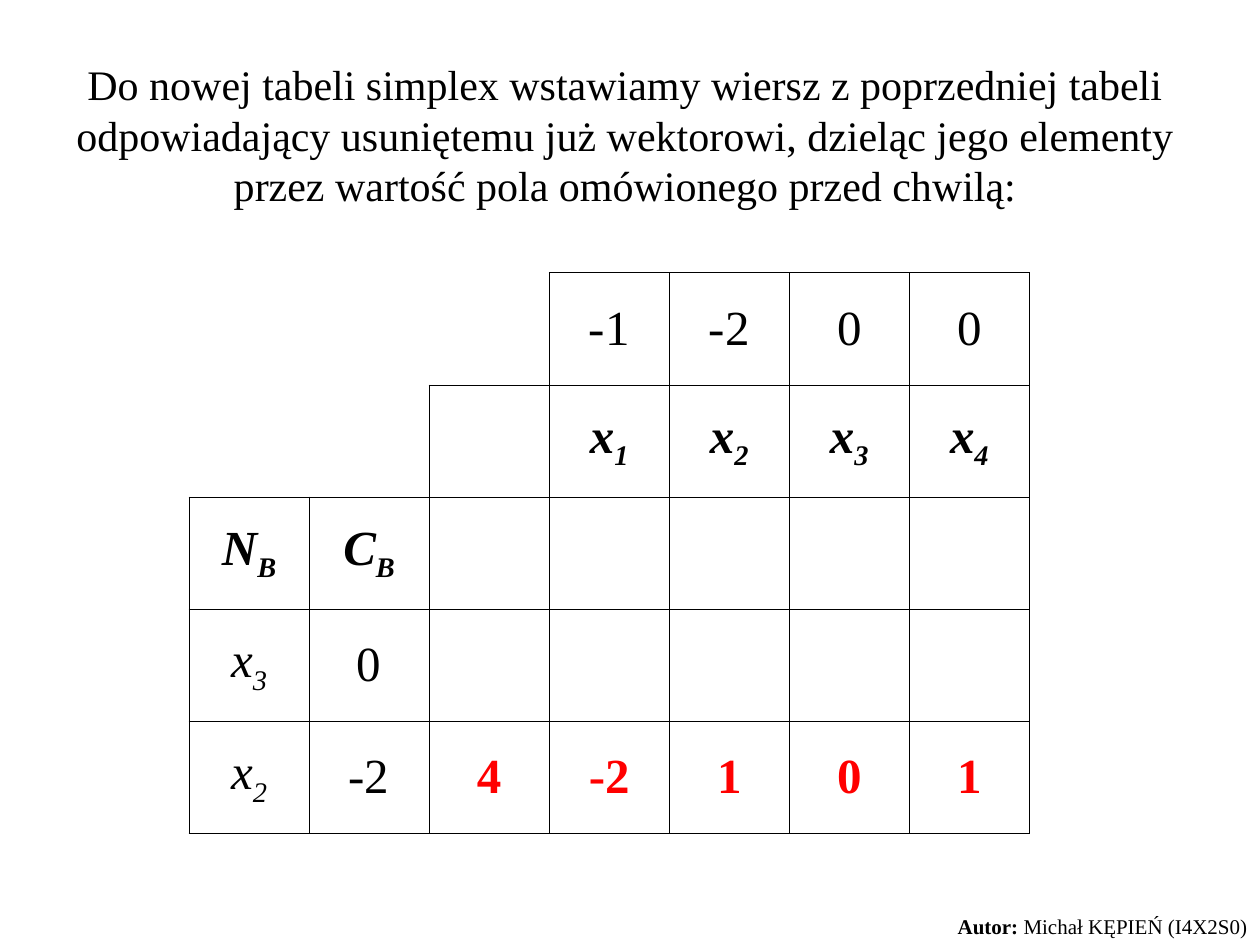
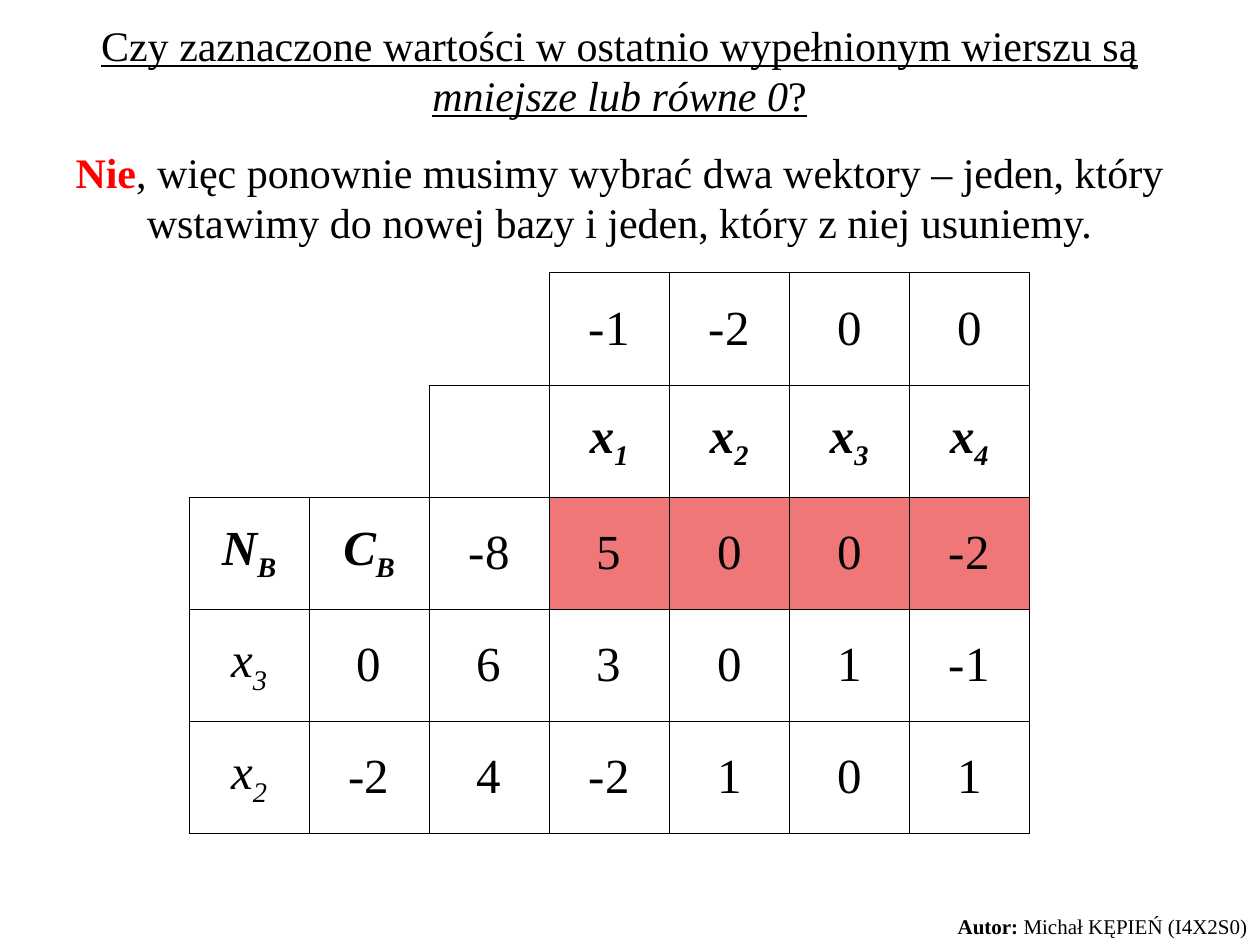
import lxml.etree
import pptx
import pptx.dml.color
import pptx.enum.text
import pptx.oxml.ns
import pptx.util

Cm = pptx.util.Cm
Pt = pptx.util.Pt
ALIGN = pptx.enum.text.PP_ALIGN
ANCHOR = pptx.enum.text.MSO_ANCHOR

BLACK, RED, PINK = "000000", "FF0000", "EF7777"
NO_STYLE = "{2D5ABB26-0587-4C30-8999-92F81FD0307C}"
TITLE_ONLY = 5

COSTS = ["-1", "-2", "0", "0"]
VECTORS = ["x_1", "x_2", "x_3", "x_4"]
BASIS = [["N_B", "C_B"], ["x_3", "0"], ["x_2", "-2"]]
FIRST_COLUMNS = [3, 2, 0, 0, 0]
COLUMN_COUNT = 7


def rgb(value):
    return pptx.dml.color.RGBColor.from_string(value)


def simplex_grid(values):
    """Join the costs, vectors and basis columns with the rows of values."""
    head = [[""] * 3 + COSTS, [""] * 3 + VECTORS]
    return head + [basis + row for basis, row in zip(BASIS, values)]


def in_table(row, column):
    """Tell whether a place is outside the open top left staircase."""
    inside_rows = 0 <= row < len(FIRST_COLUMNS)
    return inside_rows and FIRST_COLUMNS[row] <= column < COLUMN_COUNT


def set_border(cell, side, visible):
    tag = pptx.oxml.ns.qn(f"a:ln{side}")
    line = lxml.etree.Element(tag, w=str(Pt(0.45)))
    paint = "a:solidFill" if visible else "a:noFill"
    fill = lxml.etree.SubElement(line, pptx.oxml.ns.qn(paint))
    if visible:
        lxml.etree.SubElement(fill, pptx.oxml.ns.qn("a:srgbClr"), val=BLACK)
    cell._tc.get_or_add_tcPr().insert("LRTB".index(side), line)


class Deck:
    font = "Times New Roman"

    def __init__(self):
        self.presentation = pptx.Presentation()
        self.presentation.slide_width = Cm(25.4)
        self.presentation.slide_height = Cm(19.05)
        self.slide = None

    def add_slide(self):
        layout = self.presentation.slide_layouts[TITLE_ONLY]
        self.slide = self.presentation.slides.add_slide(layout)

    def add_runs(self, paragraph, runs, size, before, align=ALIGN.CENTER):
        """Fill a paragraph with (text, format) pairs."""
        layout = {"alignment": align, "space_before": Pt(before)}
        for key, value in layout.items():
            setattr(paragraph, key, value)
        for text, changes in runs:
            run = paragraph.add_run()
            run.text = text
            style = {"name": self.font, "size": Pt(size), "bold": False, "italic": False}
            style.update(changes)
            run.font.color.rgb = rgb(style.pop("color", BLACK))
            if style.pop("subscript", False):
                run._r.get_or_add_rPr().set("baseline", "-25000")
            for key, value in style.items():
                setattr(run.font, key, value)

    def frame(self, shape, box):
        """Place a shape and return its text frame, set to wrap from the top."""
        for key, value in zip(("left", "top", "width", "height"), box):
            setattr(shape, key, Cm(value))
        style = {
            "word_wrap": True,
            "auto_size": pptx.enum.text.MSO_AUTO_SIZE.NONE,
            "vertical_anchor": ANCHOR.TOP,
        }
        for key, value in style.items():
            setattr(shape.text_frame, key, value)
        return shape.text_frame

    def title(self, paragraphs, box):
        frame = self.frame(self.slide.shapes.title, box)
        for index, runs in enumerate(paragraphs):
            paragraph = frame.add_paragraph() if index else frame.paragraphs[0]
            self.add_runs(paragraph, runs, size=24, before=15)

    def footer(self):
        box = (18.63, 18.29, 6.77, 0.76)
        author = self.slide.shapes.add_textbox(0, 0, 0, 0)
        runs = [("Autor:", {"bold": True}), (" Michał KĘPIEŃ (I4X2S0)", {})]
        paragraph = self.frame(author, box).paragraphs[0]
        self.add_runs(paragraph, runs, size=12, before=7.5, align=ALIGN.RIGHT)

    def simplex_table(self, values, new_row=None, marked_row=None):
        """Draw the tableau; new_row is in red text, marked_row is filled."""
        grid = simplex_grid(values)
        width, height = Cm(2.42), Cm(2.26)
        table = self.slide.shapes.add_table(
            len(grid), COLUMN_COUNT, Cm(3.81), Cm(5.5),
            width * COLUMN_COUNT, height * len(grid),
        ).table
        table._tbl.tblPr.find(pptx.oxml.ns.qn("a:tableStyleId")).text = NO_STYLE
        table.first_row = table.horz_banding = False
        for column in table.columns:
            column.width = width
        for r, texts in enumerate(grid):
            table.rows[r].height = height
            for c, text in enumerate(texts):
                cell = table.cell(r, c)
                cell.vertical_anchor = ANCHOR.MIDDLE
                if r == marked_row and c > 2:
                    cell.fill.solid()
                    cell.fill.fore_color.rgb = rgb(PINK)
                else:
                    cell.fill.background()
                neighbours = {"L": (r, c - 1), "R": (r, c + 1), "T": (r - 1, c), "B": (r + 1, c)}
                for side, place in neighbours.items():
                    set_border(cell, side, in_table(r, c) or in_table(*place))
                if text:
                    is_new = r == new_row and c > 1
                    self.cell_text(cell, text, heading=r < 3, is_new=is_new)

    def cell_text(self, cell, text, heading, is_new):
        """Set a value; the part after an underscore is a subscript."""
        symbol, _, index = text.partition("_")
        style = {"italic": bool(index), "bold": is_new or (heading and bool(index))}
        style["color"] = RED if is_new else BLACK
        runs = [(symbol, style)]
        if index:
            runs.append((index, {**style, "subscript": True}))
        self.add_runs(cell.text_frame.paragraphs[0], runs, size=28, before=7)


def main():
    deck = Deck()
    pivot_row = ["4", "-2", "1", "0", "1"]
    empty_row = [""] * 5

    deck.add_slide()
    deck.title(
        [[("Do nowej tabeli simplex wstawiamy wiersz z poprzedniej tabeli "
           "odpowiadający usuniętemu już wektorowi, dzieląc jego elementy "
           "przez wartość pola omówionego przed chwilą:", {})]],
        box=(0.64, 1.06, 23.92, 3.3),
    )
    deck.simplex_table([empty_row, empty_row, pivot_row], new_row=4)
    deck.footer()

    deck.add_slide()
    underlined = {"underline": True}
    question = [
        ("Czy zaznaczone wartości w ostatnio wypełnionym wierszu są ", underlined),
        ("mniejsze lub równe 0", {**underlined, "italic": True}),
        ("?", underlined),
    ]
    answer = [
        ("Nie", {"bold": True, "color": RED}),
        (", więc ponownie musimy wybrać dwa wektory – jeden, który "
         "wstawimy do nowej bazy i jeden, który z niej usuniemy.", {}),
    ]
    deck.title([question, answer], box=(0.64, 0.26, 23.7, 4.85))
    values = [["-8", "5", "0", "0", "-2"], ["6", "3", "0", "1", "-1"], pivot_row]
    deck.simplex_table(values, marked_row=2)
    deck.footer()

    deck.presentation.save("out.pptx")


if __name__ == "__main__":
    main()
